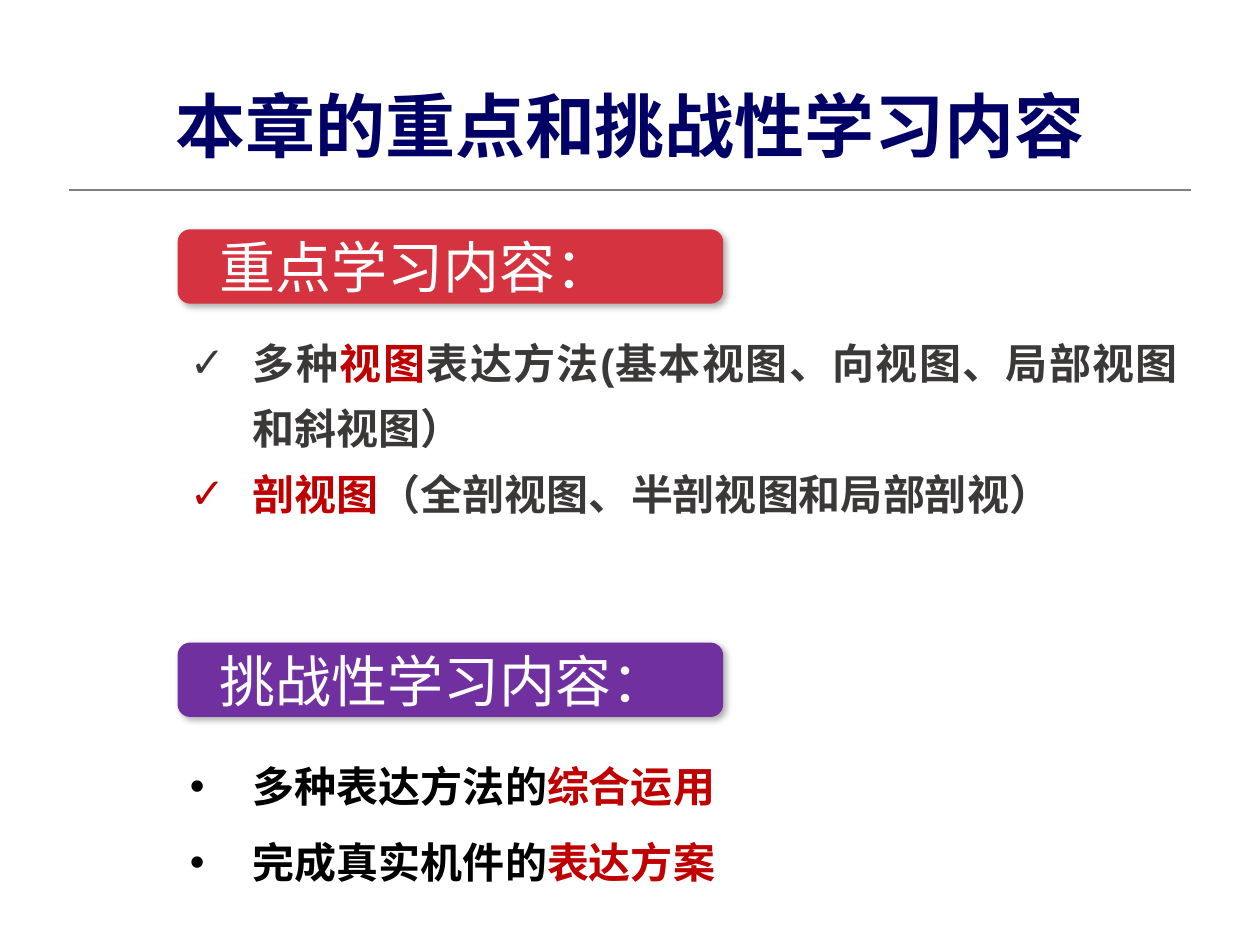
import pptx
import pptx.dml.color
import pptx.enum.shapes
import pptx.enum.text
import pptx.oxml
import pptx.oxml.ns
import pptx.util
from lxml import etree

Inches, Pt = pptx.util.Inches, pptx.util.Pt
ALIGN, ANCHOR = pptx.enum.text.PP_ALIGN, pptx.enum.text.MSO_ANCHOR
SHAPE, LINK = pptx.enum.shapes.MSO_SHAPE, pptx.enum.shapes.MSO_CONNECTOR
COLORS = {"navy": "000066", "grey": "808080", "red": "D4333F", "purple": "7030A0",
          "dark": "3B3838", "accent": "C00000", "black": "000000", "white": "FFFFFF"}
TITLE = {"name": "Arial", "size": Pt(40), "bold": True}
LABEL = {"name": "Arial", "size": Pt(32), "bold": False}
BODY = {"name": "Arial", "size": Pt(24), "bold": True}
SHADOW = ('<a:effectLst xmlns:a="http://schemas.openxmlformats.org/drawingml/2006/main">'
          '<a:outerShdw blurRad="50800" dist="25400" dir="2700000" algn="tl" rotWithShape="0">'
          '<a:srgbClr val="000000"><a:alpha val="33000"/></a:srgbClr>'
          '</a:outerShdw></a:effectLst>')


def color(key):
    return pptx.dml.color.RGBColor.from_string(COLORS[key])


def style(item, values):
    for key, value in values.items():
        setattr(item, key, value)


def write(para, parts, font):
    for text, key in parts:
        run = para.add_run()
        run.text = text
        style(run.font, font)
        run.font.color.rgb = color(key)


def sub(parent, tag, **values):
    return etree.SubElement(parent, pptx.oxml.ns.qn(tag), values)


def heading(slide, left, top, width, height):
    # Title with a rule below it
    box = slide.shapes.add_textbox(left, top, width, height)
    frame = box.text_frame
    style(frame, {"word_wrap": True, "vertical_anchor": ANCHOR.BOTTOM})
    para = frame.paragraphs[0]
    para.alignment = ALIGN.CENTER
    write(para, [("本章的重点和挑战性学习内容", "navy")], TITLE)
    y = top + height + Inches(0.14)
    rule = slide.shapes.add_connector(LINK.STRAIGHT, left, y, left + width, y)
    rule.line.color.rgb = color("grey")
    rule.line.width = Pt(1)
    sub(rule._element.spPr, "a:effectLst")


def banner(slide, left, top, width, height, text, fill):
    # Rounded label with a soft shadow
    box = slide.shapes.add_shape(SHAPE.ROUNDED_RECTANGLE, left, top, width, height)
    box.adjustments[0] = 0.17
    box.fill.solid()
    box.fill.fore_color.rgb = color(fill)
    box.line.fill.background()
    box._element.spPr.append(pptx.oxml.parse_xml(SHADOW))
    frame = box.text_frame
    pad = Inches(0.1)
    style(frame, {"margin_left": Inches(0.3), "margin_right": pad, "margin_top": pad,
                  "margin_bottom": pad, "word_wrap": True,
                  "vertical_anchor": ANCHOR.MIDDLE})
    para = frame.paragraphs[0]
    para.alignment = ALIGN.LEFT
    write(para, [(text, "white")], LABEL)


def points(slide, left, top, width, height, items, mark, space):
    # Bulleted list with hanging indents
    frame = slide.shapes.add_textbox(left, top, width, height).text_frame
    frame.word_wrap = True
    for i, parts in enumerate(items):
        para = frame.add_paragraph() if i else frame.paragraphs[0]
        style(para, {"alignment": ALIGN.JUSTIFY, "line_spacing": space})
        props = para._p.get_or_add_pPr()
        props.set("marL", str(Inches(0.5)))
        props.set("indent", str(-Inches(0.5)))
        sub(props, "a:buFont", typeface="Arial")
        sub(props, "a:buChar", char=mark)
        write(para, parts, BODY)


def section(slide, left, top, width, height, label, fill, items, mark, space):
    # Banner above its list
    banner(slide, left, top, Inches(4.33), Inches(0.59), label, fill)
    gap = Inches(0.69)
    points(slide, left, top + gap, width, height - gap, items, mark, space)


def main():
    deck = pptx.Presentation()
    style(deck, {"slide_width": Inches(10), "slide_height": Inches(7.5)})
    slide = deck.slides.add_slide(deck.slide_layouts[6])
    heading(slide, Inches(0.55), Inches(0.6), Inches(8.9), Inches(0.77))
    focus = [
        [("多种", "dark"), ("视图", "accent"),
         ("表达方法(基本视图、向视图、局部视图和斜视图）", "dark")],
        [("剖视图", "accent"), ("（全剖视图、半剖视图和局部剖视）", "dark")],
    ]
    goals = [
        [("多种表达方法的", "black"), ("综合运用", "accent")],
        [("完成真实机件的", "black"), ("表达方案", "accent")],
    ]
    left, width = Inches(1.41), Inches(8.04)
    section(slide, left, Inches(1.82), width, Inches(2.36),
            "重点学习内容：", "red", focus, "✓", 1.3)
    section(slide, left, Inches(5.1), width, Inches(2.01),
            "挑战性学习内容：", "purple", goals, "•", 1.5)
    deck.save("out.pptx")


if __name__ == "__main__":
    main()
